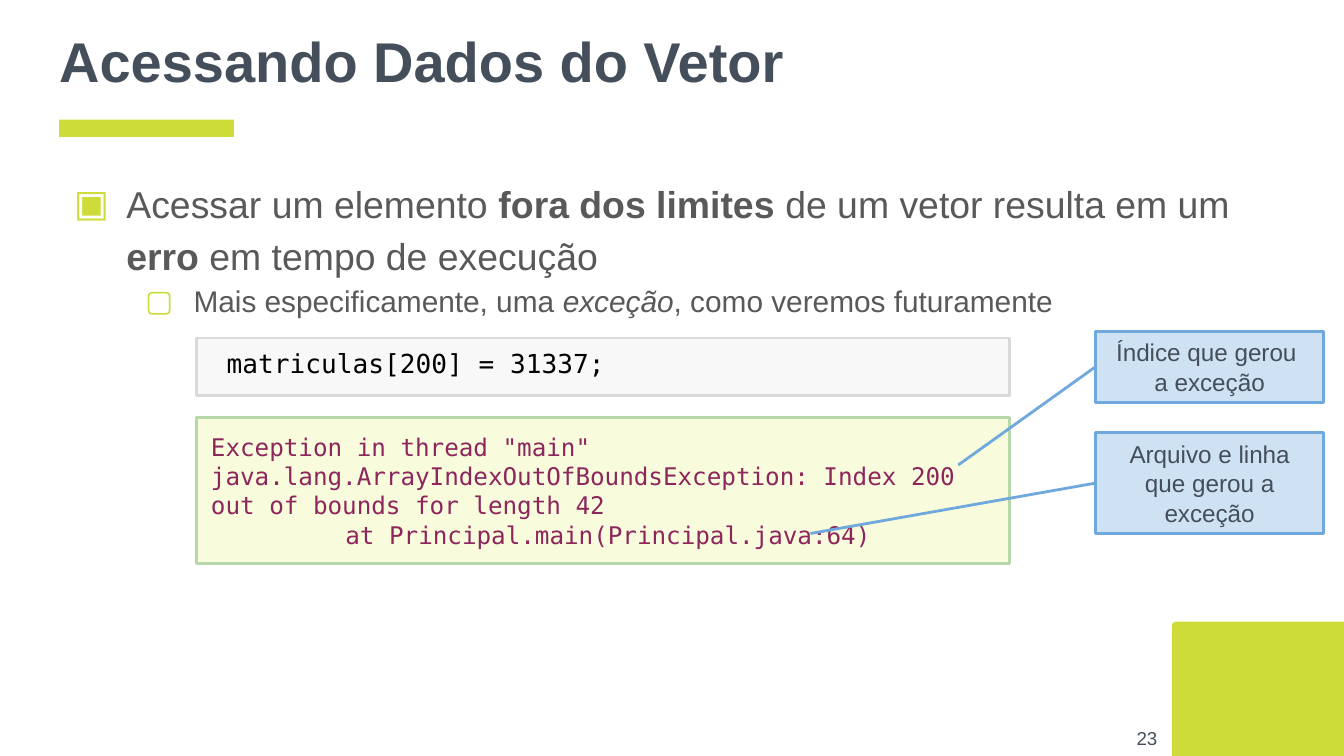
from dataclasses import dataclass

from lxml.etree import SubElement
from pptx import Presentation
from pptx.dml.color import RGBColor
from pptx.enum.shapes import MSO_CONNECTOR, MSO_SHAPE
from pptx.enum.text import MSO_ANCHOR as Anchor, MSO_AUTO_SIZE, PP_ALIGN as Align
from pptx.oxml.ns import qn
from pptx.util import Inches, Pt

COLORS = {
    "accent": "CDDC39", "heading": "454F5B", "body": "595959",
    "code_fill": "F8F8F8", "code_line": "D9D9D9", "code_text": "000000",
    "error_fill": "F9FCDC", "error_line": "B6D7A8", "error_text": "8D265C",
    "note_fill": "CFE2F3", "note_line": "6FA8DC",
}
SANS, MONO = "Arial", "DejaVu Sans Mono"
COLUMNS = 100  # square grid cells across the slide width
SLIDE_WIDTH = Inches(10)
SLIDE_HEIGHT = SLIDE_WIDTH * 9 // 16


@dataclass(frozen=True)
class Box:
    """Column, row, width and height in grid cells."""
    col: float
    row: float
    cols: float
    rows: float

    def lengths(self) -> list[int]:
        return [cells(n) for n in (self.col, self.row, self.cols, self.rows)]


@dataclass(frozen=True)
class Callout:
    box: Box
    lines: list[str]
    target: tuple[float, float]


@dataclass(frozen=True)
class Panel:
    box: Box
    style: str
    paragraphs: list[str]
    size: float
    spacing: float


@dataclass(frozen=True)
class Bullet:
    runs: list[tuple[str, str]]  # text and emphasis: "", "bold" or "italic"
    level: int
    symbol: str
    size: float
    margin: float
    hanging: float


def cells(count: float) -> int:
    return round(SLIDE_WIDTH * count / COLUMNS)


def rgb(name: str) -> RGBColor:
    return RGBColor.from_string(COLORS[name])


def write(paragraph, text: str, *, size: float, color: str, font: str = SANS,
          bold: bool = False, italic: bool = False, align=Align.LEFT,
          spacing: float = 1.0) -> None:
    """Add one formatted run to a paragraph."""
    paragraph.alignment, paragraph.line_spacing = align, spacing
    paragraph.space_before = Pt(0)
    run = paragraph.add_run()
    run.text = text
    run.font.name, run.font.size = font, Pt(size)
    run.font.bold, run.font.italic = bold, italic
    run.font.color.rgb = rgb(color)


def set_frame(shape, anchor=Anchor.MIDDLE, inset_x: float = 1, inset_y: float = 1):
    frame = shape.text_frame
    frame.word_wrap, frame.auto_size = True, MSO_AUTO_SIZE.NONE
    frame.vertical_anchor = anchor
    frame.margin_left = frame.margin_right = cells(inset_x)
    frame.margin_top = frame.margin_bottom = cells(inset_y)
    return frame


def place(shape, box: Box) -> None:
    shape.left, shape.top, shape.width, shape.height = box.lengths()


def add_block(shapes, box: Box, fill: str, line: str = "", line_width: float = 1.5,
              kind=MSO_SHAPE.RECTANGLE):
    block = shapes.add_shape(kind, *box.lengths())
    block.shadow.inherit = False
    block.fill.solid()
    block.fill.fore_color.rgb = rgb(fill)
    if line:
        block.line.color.rgb, block.line.width = rgb(line), Pt(line_width)
    else:
        block.line.fill.background()
    return block


def add_bullet(paragraph, bullet: Bullet) -> None:
    for text, emphasis in bullet.runs:
        write(paragraph, text, size=bullet.size, color="body", spacing=1.15,
              bold=emphasis == "bold", italic=emphasis == "italic")
    paragraph.level = bullet.level
    properties = paragraph._p.get_or_add_pPr()
    properties.set("marL", str(cells(bullet.margin)))
    properties.set("indent", str(-cells(bullet.hanging)))
    color = SubElement(properties, qn("a:buClr"))
    SubElement(color, qn("a:srgbClr"), val=COLORS["accent"])
    SubElement(properties, qn("a:buFont"), typeface=SANS)
    SubElement(properties, qn("a:buChar"), char=bullet.symbol)


def add_panel(shapes, panel: Panel) -> None:
    block = add_block(shapes, panel.box, f"{panel.style}_fill", f"{panel.style}_line", 1.44)
    frame = set_frame(block, inset_x=1.1, inset_y=0.6)
    for index, text in enumerate(panel.paragraphs):
        paragraph = frame.add_paragraph() if index else frame.paragraphs[0]
        write(paragraph, text, size=panel.size, color=f"{panel.style}_text",
              font=MONO, spacing=panel.spacing)
        if "\t" in text:
            tabs = SubElement(paragraph._p.get_or_add_pPr(), qn("a:tabLst"))
            SubElement(tabs, qn("a:tab"), pos=str(cells(10)), algn="l")


def add_callout(shapes, callout: Callout) -> None:
    note = add_block(shapes, callout.box, "note_fill", "note_line")
    paragraph = set_frame(note).paragraphs[0]
    for index, text in enumerate(callout.lines):
        if index:
            paragraph.add_line_break()
        write(paragraph, text, size=13, color="heading", align=Align.CENTER)
    start = [cells(n) for n in callout.target]
    pointer = shapes.add_connector(MSO_CONNECTOR.STRAIGHT, *start, note.left, note.top)
    pointer.end_connect(note, 1)
    pointer.line.color.rgb, pointer.line.width = rgb("note_line"), Pt(1.5)
    SubElement(pointer._element.spPr, qn("a:effectLst"))


BULLETS = [
    Bullet([("Acessar um elemento ", ""), ("fora dos limites", "bold"),
            (" de um vetor resulta em um ", ""), ("erro", "bold"),
            (" em tempo de execução", "")], 0, "▣", 20, 5, 3.9),
    Bullet([("Mais especificamente, uma ", ""), ("exceção", "italic"),
            (", como veremos futuramente", "")], 1, "▢", 16, 10, 3.6),
]
PANELS = [
    Panel(Box(14.6, 25.15, 60.5, 4.3), "code", [" matriculas[200] = 31337;"], 14, 0.7),
    Panel(Box(14.6, 31.05, 60.5, 10.9), "error", [
        'Exception in thread "main" java.lang.ArrayIndexOutOfBoundsException: '
        "Index 200 out of bounds for length 42",
        "\tat Principal.main(Principal.java:64)"], 13, 1.0),
]
CALLOUTS = [
    Callout(Box(81.5, 24.65, 17, 5.3), ["Índice que gerou ", "a exceção"], (71.3, 34.6)),
    Callout(Box(81.5, 32.2, 17, 7.5), ["Arquivo e linha que gerou a exceção"], (60.3, 39.7)),
]


def main() -> None:
    deck = Presentation()
    deck.slide_width, deck.slide_height = SLIDE_WIDTH, SLIDE_HEIGHT
    slide = deck.slides.add_slide(deck.slide_layouts[1])
    shapes = slide.shapes

    # Title and bullet list
    title, body = slide.placeholders
    place(title, Box(3.4, 0, 93.2, 8.9))
    write(set_frame(title).paragraphs[0], "Acessando Dados do Vetor",
          size=30, color="heading", bold=True)
    place(body, Box(3.4, 12, 93.2, 12.1))
    body_frame = set_frame(body, Anchor.TOP)
    for index, bullet in enumerate(BULLETS):
        add_bullet(body_frame.add_paragraph() if index else body_frame.paragraphs[0], bullet)

    # Accent corner and title underline
    corner = add_block(shapes, Box(88.65, 44.8, 10.1, 13), "accent",
                       kind=MSO_SHAPE.ROUND_1_RECTANGLE)
    corner.adjustments[0] = 0.03
    corner.rotation = 270
    add_block(shapes, Box(4.4, 8.9, 13, 1.3), "accent")

    # Page number
    page = shapes.add_textbox(*Box(81.1, 52.8, 6, 4.3).lengths())
    write(set_frame(page).paragraphs[0], "23", size=10, color="heading", align=Align.RIGHT)

    # Code, its error output and the notes on it
    for panel in PANELS:
        add_panel(shapes, panel)
    for callout in CALLOUTS:
        add_callout(shapes, callout)

    deck.save("out.pptx")


if __name__ == "__main__":
    main()
